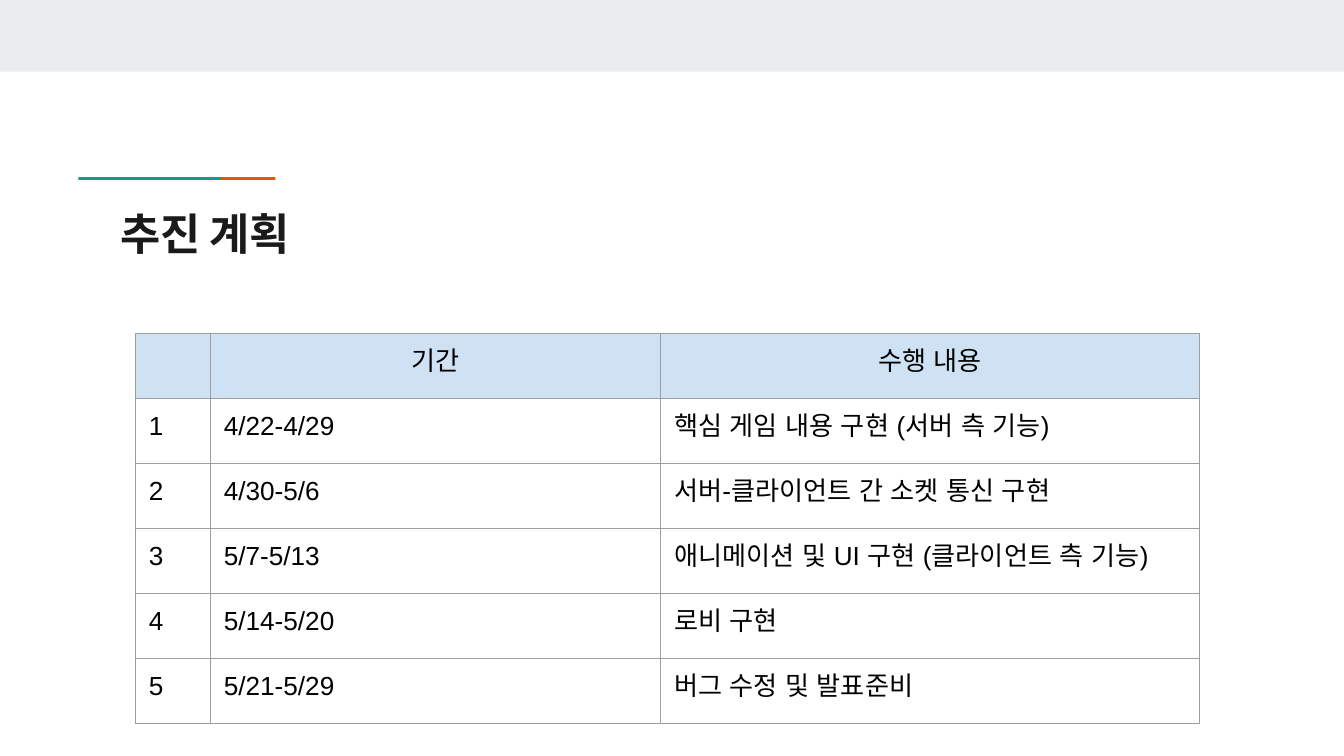
from lxml import etree
from pptx import Presentation
from pptx.dml.color import RGBColor
from pptx.enum import lang, shapes, text
from pptx.oxml import ns
from pptx.util import Pt

# Content
TITLE = "추진 계획"
HEADER = ("", "기간", "수행 내용")
PLAN = [
    ("4/22-4/29", "핵심 게임 내용 구현 (서버 측 기능)"),
    ("4/30-5/6", "서버-클라이언트 간 소켓 통신 구현"),
    ("5/7-5/13", "애니메이션 및 UI 구현 (클라이언트 측 기능)"),
    ("5/14-5/20", "로비 구현"),
    ("5/21-5/29", "버그 수정 및 발표준비"),
]

# Style
BAND = RGBColor(0xE9, 0xED, 0xEE)
ORANGE = RGBColor(0xEB, 0x56, 0x00)
TEAL = RGBColor(0x1A, 0x99, 0x88)
INK = RGBColor(0x1A, 0x1A, 0x1A)
BLACK = RGBColor(0, 0, 0)
HEADER_FILL = RGBColor(0xCF, 0xE2, 0xF3)
BORDER = RGBColor(0x9E, 0x9E, 0x9E)
WIDTH, HEIGHT = 720, 405
INSET = 7.2
COLUMNS = (40.2, 241.2, 288.8)
ROW_HEIGHT = 34.83
CELL_SIZE = 14
ACCENT_LENGTH, ACCENT_THICKNESS, ACCENT_MIDDLE = 76.3, 1.5, 95.6


def add_bar(slide, left, top, width, height, color):
    bar = slide.shapes.add_shape(shapes.MSO_SHAPE.RECTANGLE,
                                 Pt(left), Pt(top), Pt(width), Pt(height))
    bar.shadow.inherit = False
    bar.fill.solid()
    bar.fill.fore_color.rgb = color
    bar.line.fill.background()
    return bar


def add_accent(slide, left, color):
    """Add an upright bar turned onto its side, starting at left."""
    bar = add_bar(slide, left + (ACCENT_LENGTH - ACCENT_THICKNESS) / 2,
                  ACCENT_MIDDLE - ACCENT_LENGTH / 2,
                  ACCENT_THICKNESS, ACCENT_LENGTH, color)
    bar.rotation = 270


def style_run(run, font, size, color, bold=False):
    run.font.name = font
    run.font.size = Pt(size)
    run.font.color.rgb = color
    run.font.bold = bold
    run.font.language_id = lang.MSO_LANGUAGE_ID.KOREAN
    for script in ("ea", "cs"):
        etree.SubElement(run.font._element, ns.qn(f"a:{script}"), typeface=font)


def add_borders(cell):
    properties = cell._tc.get_or_add_tcPr()
    for index, side in enumerate(("lnL", "lnR", "lnT", "lnB")):
        line = etree.Element(ns.qn(f"a:{side}"), w=str(Pt(0.75)))
        fill = etree.SubElement(line, ns.qn("a:solidFill"))
        etree.SubElement(fill, ns.qn("a:srgbClr"), val=str(BORDER))
        properties.insert(index, line)


def fill_cell(cell, content, is_header):
    cell.margin_left = cell.margin_right = Pt(INSET)
    cell.margin_top = cell.margin_bottom = Pt(INSET)
    cell.text_frame.text = content
    paragraph = cell.text_frame.paragraphs[0]
    for run in paragraph.runs:
        style_run(run, "Arial", CELL_SIZE, BLACK)
    if not content:  # keeps an empty cell from stretching its row
        etree.SubElement(paragraph._p, ns.qn("a:endParaRPr"), sz=str(CELL_SIZE * 100))
    if is_header:
        paragraph.alignment = text.PP_ALIGN.CENTER
        cell.fill.solid()
        cell.fill.fore_color.rgb = HEADER_FILL
    else:
        cell.fill.background()
    add_borders(cell)


presentation = Presentation()
presentation.slide_width, presentation.slide_height = Pt(WIDTH), Pt(HEIGHT)
slide = presentation.slides.add_slide(presentation.slide_layouts[6])

# Top band and two-colour accent line
add_bar(slide, 0, 0, WIDTH, 38.4, BAND)
add_accent(slide, 71.2, ORANGE)
add_accent(slide, 42, TEAL)

# Title
title = slide.shapes.add_textbox(Pt(57.6), Pt(103.7), Pt(605.5), Pt(42.5))
frame = title.text_frame
frame.word_wrap = True
frame.vertical_anchor = text.MSO_ANCHOR.MIDDLE
frame.margin_left = frame.margin_right = Pt(INSET)
frame.margin_top = frame.margin_bottom = Pt(INSET)
frame.text = TITLE
style_run(frame.paragraphs[0].runs[0], "Manrope", 23.4, INK, bold=True)

# Schedule table, numbered by row
rows = [HEADER] + [(str(number), *entry) for number, entry in enumerate(PLAN, 1)]
table = slide.shapes.add_table(len(rows), len(COLUMNS), Pt(72.5), Pt(178.8),
                               Pt(sum(COLUMNS)), Pt(ROW_HEIGHT * len(rows))).table
table.horz_banding = False
for column, width in zip(table.columns, COLUMNS):
    column.width = Pt(width)
for row_index, row in enumerate(rows):
    for column_index, content in enumerate(row):
        fill_cell(table.cell(row_index, column_index), content, row_index == 0)

presentation.save("out.pptx")
